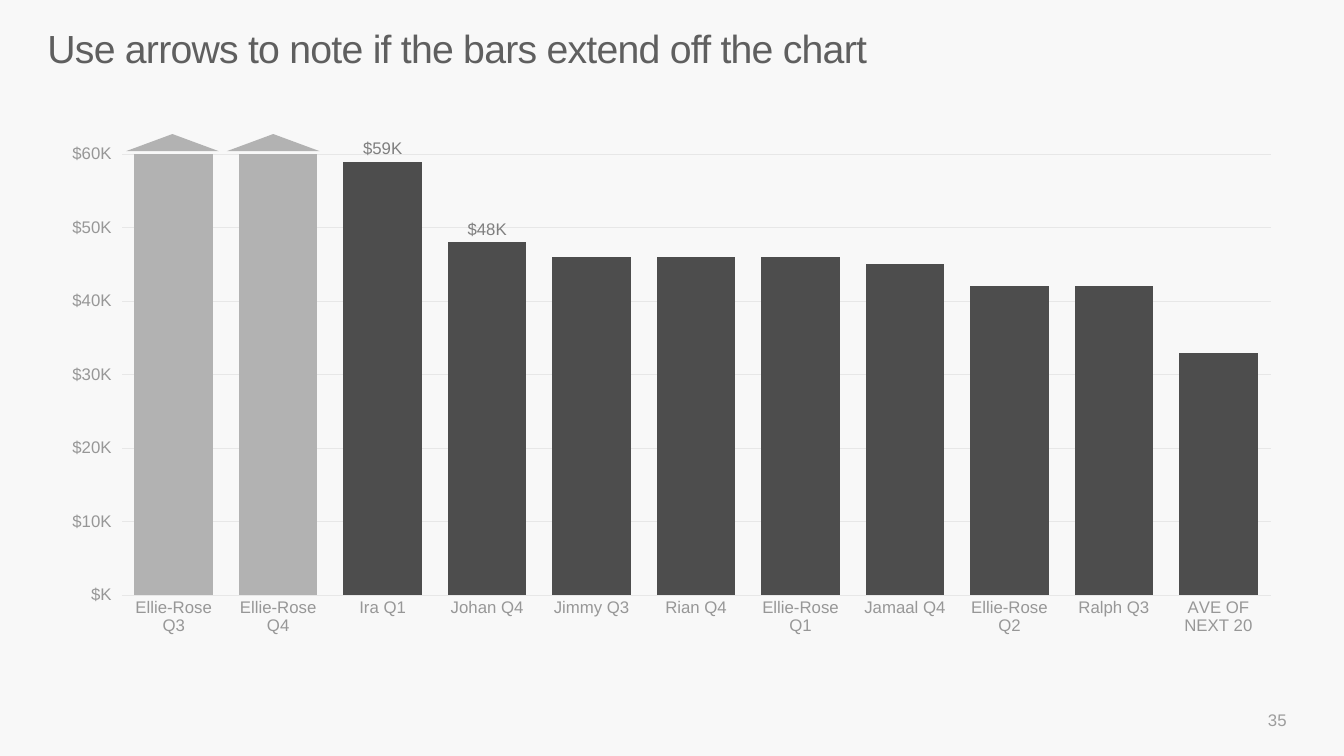
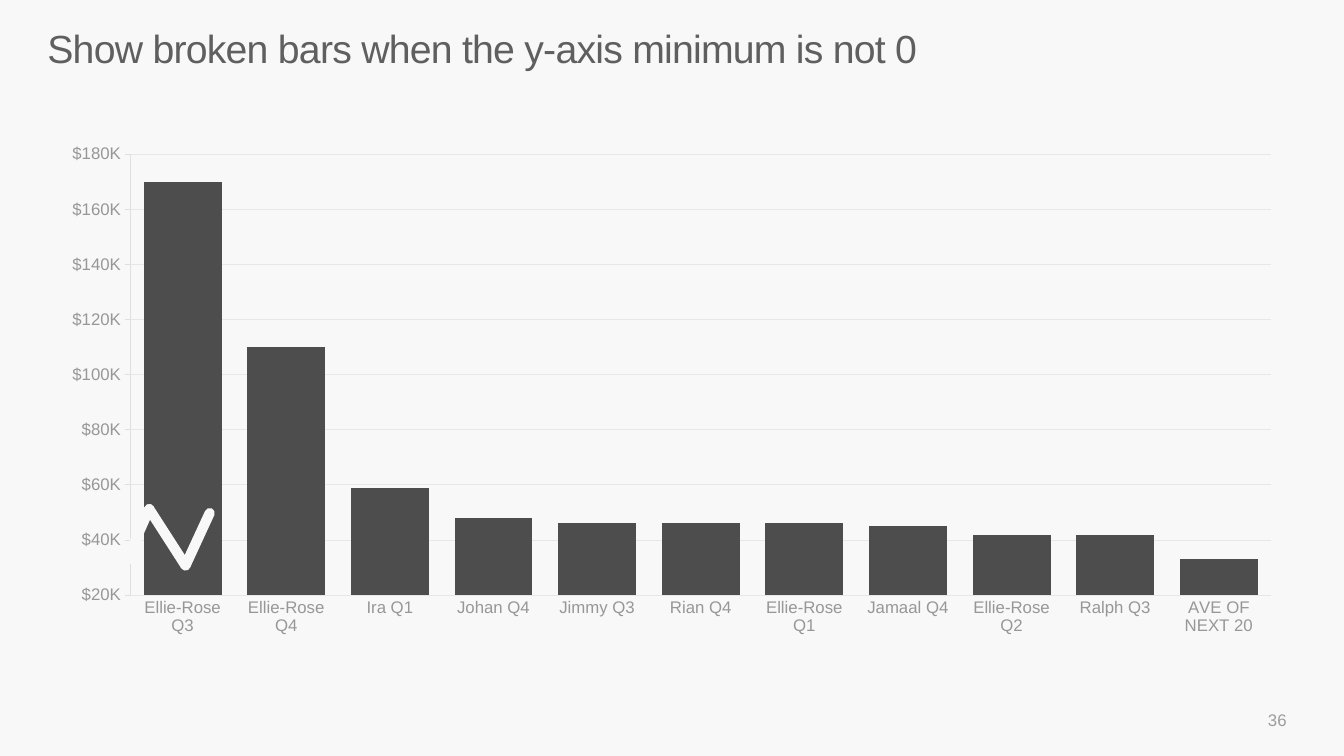
from lxml import etree
from pptx import Presentation
from pptx.chart.data import CategoryChartData
from pptx.dml.color import RGBColor
from pptx.enum import chart as ch, shapes, text
from pptx.oxml.ns import qn
from pptx.util import Inches, Pt

BACKGROUND = RGBColor(0xF8, 0xF8, 0xF8)
TITLE = RGBColor(0x5F, 0x5F, 0x5F)
NUMBER = RGBColor(0x9D, 0x9D, 0x9D)
AXIS_TEXT = RGBColor(0x97, 0x97, 0x97)
LABEL = RGBColor(0x7F, 0x7F, 0x7F)
GRID = RGBColor(0xE7, 0xE7, 0xE7)
AXIS_LINE = RGBColor(0xDF, 0xDF, 0xDF)
BAR = RGBColor(0x4D, 0x4D, 0x4D)
CUT_BAR = RGBColor(0xB2, 0xB2, 0xB2)

FONT = "Arial"
LEFT, WIDTH = Inches(0.47), Inches(12.39)
MONEY = '"$"#,"K"'
SALES = {
    "Ellie-Rose Q3": 170000,
    "Ellie-Rose Q4": 110000,
    "Ira Q1": 59000,
    "Johan Q4": 48000,
    "Jimmy Q3": 46000,
    "Rian Q4": 46000,
    "Ellie-Rose Q1": 46000,
    "Jamaal Q4": 45000,
    "Ellie-Rose Q2": 42000,
    "Ralph Q3": 42000,
    "AVE OF NEXT 20": 33000,
}


def set_font(font, size, color):
    """Apply the deck font at a size and colour."""
    font.name = FONT
    font.size = Pt(size)
    font.color.rgb = color


def set_line(line, color, width=0.75):
    """Give a line its colour and its width in points."""
    line.color.rgb = color
    line.width = Pt(width)


def add_slide(prs, title, number):
    """Add a slide with its title and page number."""
    s = prs.slides.add_slide(prs.slide_layouts[5])
    sp = s.shapes.title
    sp.left, sp.top, sp.width, sp.height = LEFT, Inches(0.31), WIDTH, Inches(0.89)
    tf = sp.text_frame
    tf.margin_left = tf.margin_right = tf.margin_top = tf.margin_bottom = 0
    tf.vertical_anchor = text.MSO_ANCHOR.TOP
    tf.auto_size = text.MSO_AUTO_SIZE.NONE
    p = tf.paragraphs[0]
    p.alignment = text.PP_ALIGN.LEFT
    p.line_spacing = 0.86
    r = p.add_run()
    r.text = title
    set_font(r.font, 28, TITLE)
    r._r.get_or_add_rPr().set("spc", "-53")

    tf = s.shapes.add_textbox(Inches(9.86), Inches(6.94), Inches(3), Inches(0.4)).text_frame
    tf.word_wrap = True
    tf.vertical_anchor = text.MSO_ANCHOR.MIDDLE
    p = tf.paragraphs[0]
    p.text = str(number)
    p.alignment = text.PP_ALIGN.RIGHT
    set_font(p.font, 12, NUMBER)
    return s


def add_sales_chart(s, minimum, maximum, step):
    """Add the sales column chart and return it."""
    data = CategoryChartData(number_format=MONEY)
    data.categories = list(SALES)
    data.add_series("Series 1", list(SALES.values()))
    chart = s.shapes.add_chart(ch.XL_CHART_TYPE.COLUMN_CLUSTERED, LEFT, Inches(1.34),
                               Inches(12.38), Inches(5.06), data).chart
    chart.has_legend = False
    chart.has_title = False
    set_font(chart.font, 10, TITLE)

    plot = chart.plots[0]
    plot.gap_width = 33
    plot.vary_by_categories = False
    fill = plot.series[0].format.fill
    fill.solid()
    fill.fore_color.rgb = BAR

    for axis in (chart.category_axis, chart.value_axis):
        set_font(axis.tick_labels.font, 12, AXIS_TEXT)
    chart.category_axis.major_tick_mark = ch.XL_TICK_MARK.NONE
    set_line(chart.category_axis.format.line, GRID)

    values = chart.value_axis
    values.minimum_scale, values.maximum_scale, values.major_unit = minimum, maximum, step
    values.major_tick_mark = ch.XL_TICK_MARK.OUTSIDE
    values.tick_labels.number_format = MONEY
    values.tick_labels.number_format_is_linked = False
    values.has_major_gridlines = True
    set_line(values.major_gridlines.format.line, GRID)
    set_line(values.format.line, AXIS_LINE)
    return chart


def shade_cut_bar(series, index):
    """Lighten a bar that extends off the chart."""
    fill = series.points[index].format.fill
    fill.solid()
    fill.fore_color.rgb = CUT_BAR


def label_bar(series, index):
    """Show the value above one bar."""
    label = series.points[index].data_label
    set_font(label.font, 12, LABEL)
    label.position = ch.XL_LABEL_POSITION.OUTSIDE_END


def add_bar_arrow(s, left):
    """Add an arrowhead above a cut bar."""
    sp = s.shapes.add_shape(shapes.MSO_SHAPE.ISOSCELES_TRIANGLE, Inches(left),
                            Inches(1.33), Inches(0.92), Inches(0.17))
    sp.shadow.inherit = False
    sp.fill.solid()
    sp.fill.fore_color.rgb = CUT_BAR
    sp.line.fill.background()


def add_break(s, points):
    """Add a grouped zigzag that breaks a bar."""
    group = s.shapes.add_group_shape()
    for start, end in zip(points, points[1:]):
        sp = group.shapes.add_connector(shapes.MSO_CONNECTOR.STRAIGHT,
                                        *map(Inches, start + end))
        set_line(sp.line, BACKGROUND, 7.25)
        props = sp._element.spPr
        props.find(qn("a:ln")).set("cap", "rnd")
        etree.SubElement(props, qn("a:effectLst"))


def build_arrow_slide(prs):
    """Build the slide on bars that leave the chart."""
    s = add_slide(prs, "Use arrows to note if the bars extend off the chart", 35)
    chart = add_sales_chart(s, 0, 60000, 10000)
    chart.value_axis.format.line.fill.background()
    series = chart.plots[0].series[0]
    for i in range(2):
        shade_cut_bar(series, i)
        add_bar_arrow(s, 1.25 + i)
    for i in (2, 3):
        label_bar(series, i)


def build_break_slide(prs):
    """Build the slide on broken bars."""
    s = add_slide(prs, "Show broken bars when the y-axis minimum is not 0", 36)
    add_sales_chart(s, 20000, 180000, 20000)
    add_break(s, [(1.25, 5.57), (1.48, 5.05), (1.84, 5.61), (2.08, 5.09)])


def main():
    """Build and save the deck."""
    prs = Presentation()
    prs.slide_width, prs.slide_height = Inches(13.33), Inches(7.5)
    fill = prs.slide_master.background.fill
    fill.solid()
    fill.fore_color.rgb = BACKGROUND
    build_arrow_slide(prs)
    build_break_slide(prs)
    prs.save("out.pptx")


if __name__ == "__main__":
    main()
